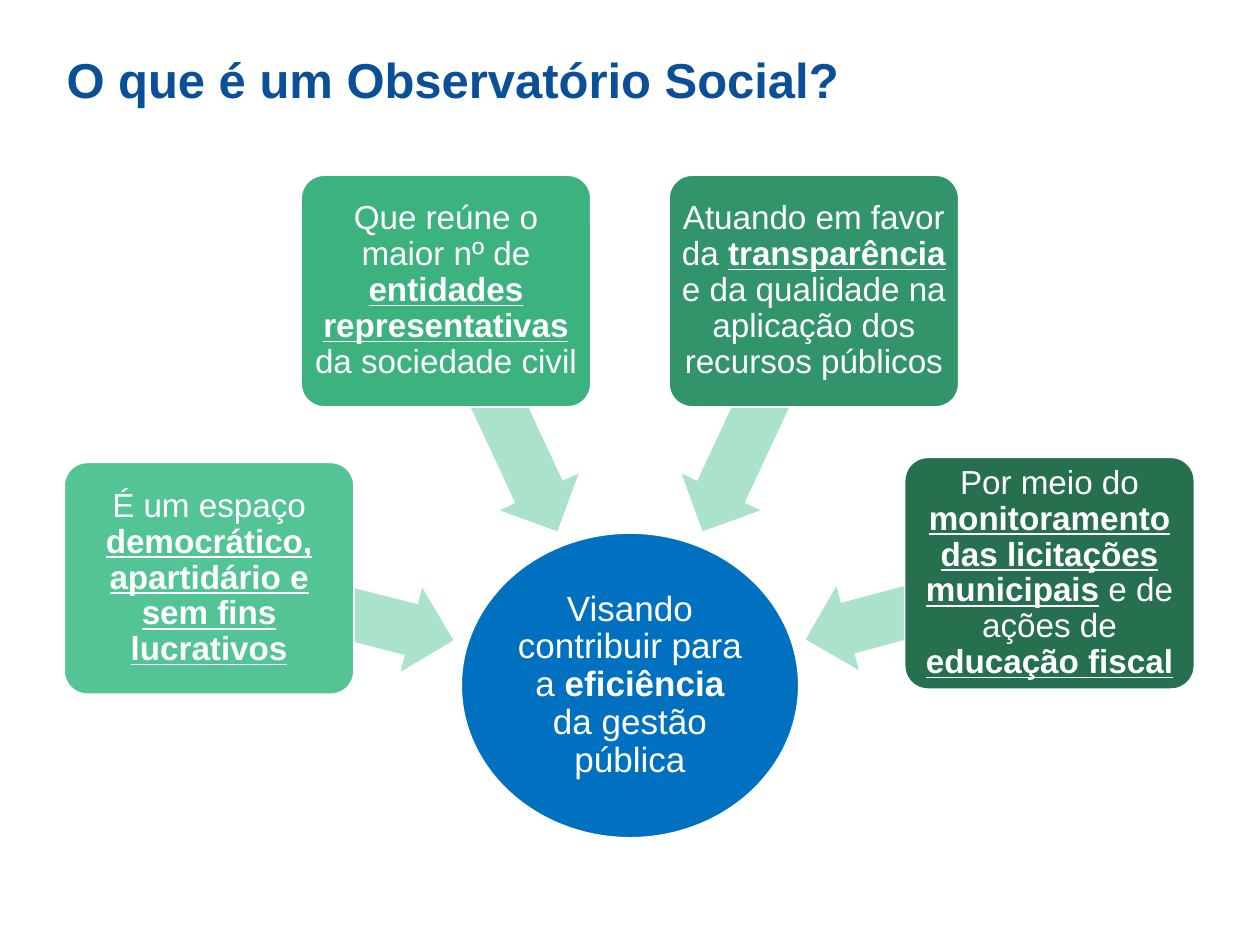
from pptx import Presentation
from pptx.dml.color import RGBColor
from pptx.enum.shapes import MSO_SHAPE
from pptx.enum.text import MSO_ANCHOR, PP_ALIGN
from pptx.util import Inches, Pt

ELLIPSE = MSO_SHAPE.OVAL
CARD = MSO_SHAPE.ROUNDED_RECTANGLE
ARROW = MSO_SHAPE.LEFT_ARROW
MIDDLE = MSO_ANCHOR.MIDDLE
CENTER = PP_ALIGN.CENTER

FONT = "Arial"
WHITE = "FFFFFF"
TITLE_BLUE = "0B4F99"
GOAL_BLUE = "0070C0"
ARROW_GREEN = "ABE2CA"
CARD_SIZE = (2.3, 1.84)
ARROW_HEIGHT = 0.69
PLAIN = (False, False)
BOLD = (True, False)
STRONG = (True, True)

GOAL_TEXT = [
    ("Visando contribuir para a ", PLAIN),
    ("eficiência", BOLD),
    (" da gestão pública", PLAIN),
]

BRANCHES = [
    ((0.51, 3.67), "53C594", (1.63, 4.49, 2), 194.3, [
        ("É um espaço ", PLAIN),
        ("democrático, apartidário e sem fins lucrativos", STRONG),
    ]),
    ((2.39, 1.39), "3CB27F", (2.93, 2.92, 2.1), 245, [
        ("Que reúne o maior nº de ", PLAIN),
        ("entidades representativas", STRONG),
        (" da sociedade civil", PLAIN),
    ]),
    ((5.31, 1.39), "32946A", (4.97, 2.92, 2.1), 295, [
        ("Atuando em favor da ", PLAIN),
        ("transparência", STRONG),
        (" e da qualidade na aplicação dos recursos públicos", PLAIN),
    ]),
    ((7.18, 3.63), "267050", (6.36, 4.47, 2.01), 345, [
        ("Por meio do ", PLAIN),
        ("monitoramento das licitações municipais", STRONG),
        (" e de ações de ", PLAIN),
        ("educação fiscal", STRONG),
    ]),
]


def color(value):
    return RGBColor.from_string(value)


def format_run(run, size, value, bold, underline=False):
    run.font.name = FONT
    run.font.size = Pt(size)
    run.font.color.rgb = color(value)
    run.font.bold = bold
    run.font.underline = underline


def add_filled_shape(slide, kind, box, fill):
    shape = slide.shapes.add_shape(kind, *map(Inches, box))
    shape.shadow.inherit = False
    shape.fill.solid()
    shape.fill.fore_color.rgb = color(fill)
    return shape


def add_text_shape(slide, kind, box, fill, pieces, size, inset):
    shape = add_filled_shape(slide, kind, box, fill)
    shape.line.color.rgb = color(WHITE)
    shape.line.width = Pt(1)
    frame = shape.text_frame
    frame.word_wrap = True
    frame.vertical_anchor = MIDDLE
    frame.margin_left = frame.margin_right = Inches(inset)
    frame.margin_top = frame.margin_bottom = Inches(inset)
    paragraph = frame.paragraphs[0]
    paragraph.alignment = CENTER
    paragraph.line_spacing = 0.9
    for text, (bold, underline) in pieces:
        run = paragraph.add_run()
        run.text = text
        format_run(run, size, WHITE, bold, underline)
    return shape


def add_title(slide, box):
    title = slide.shapes.add_textbox(*map(Inches, box))
    frame = title.text_frame
    frame.word_wrap = True
    frame.vertical_anchor = MIDDLE
    frame.text = "O que é um Observatório Social?"
    format_run(frame.paragraphs[0].runs[0], 28, TITLE_BLUE, True)


def add_goal(slide, box):
    add_text_shape(slide, ELLIPSE, box, GOAL_BLUE, GOAL_TEXT, 20, 0.01)


def add_arrow(slide, box, rotation):
    arrow = add_filled_shape(slide, ARROW, box, ARROW_GREEN)
    arrow.line.fill.background()
    arrow.adjustments[0] = 0.6
    arrow.adjustments[1] = 0.5
    arrow.rotation = rotation


def add_card(slide, box, fill, pieces):
    card = add_text_shape(slide, CARD, box, fill, pieces, 19, 0.04)
    card.adjustments[0] = 0.1


def main():
    presentation = Presentation()
    presentation.slide_width = Inches(10)
    presentation.slide_height = Inches(7.5)
    slide = presentation.slides.add_slide(presentation.slide_layouts[6])
    add_title(slide, (0.43, 0, 7.32, 1.25))
    add_goal(slide, (3.66, 4.23, 2.68, 2.42))
    for position, fill, arrow_place, rotation, pieces in BRANCHES:
        add_arrow(slide, (*arrow_place, ARROW_HEIGHT), rotation)
        add_card(slide, (*position, *CARD_SIZE), fill, pieces)
    presentation.save("out.pptx")


if __name__ == "__main__":
    main()
